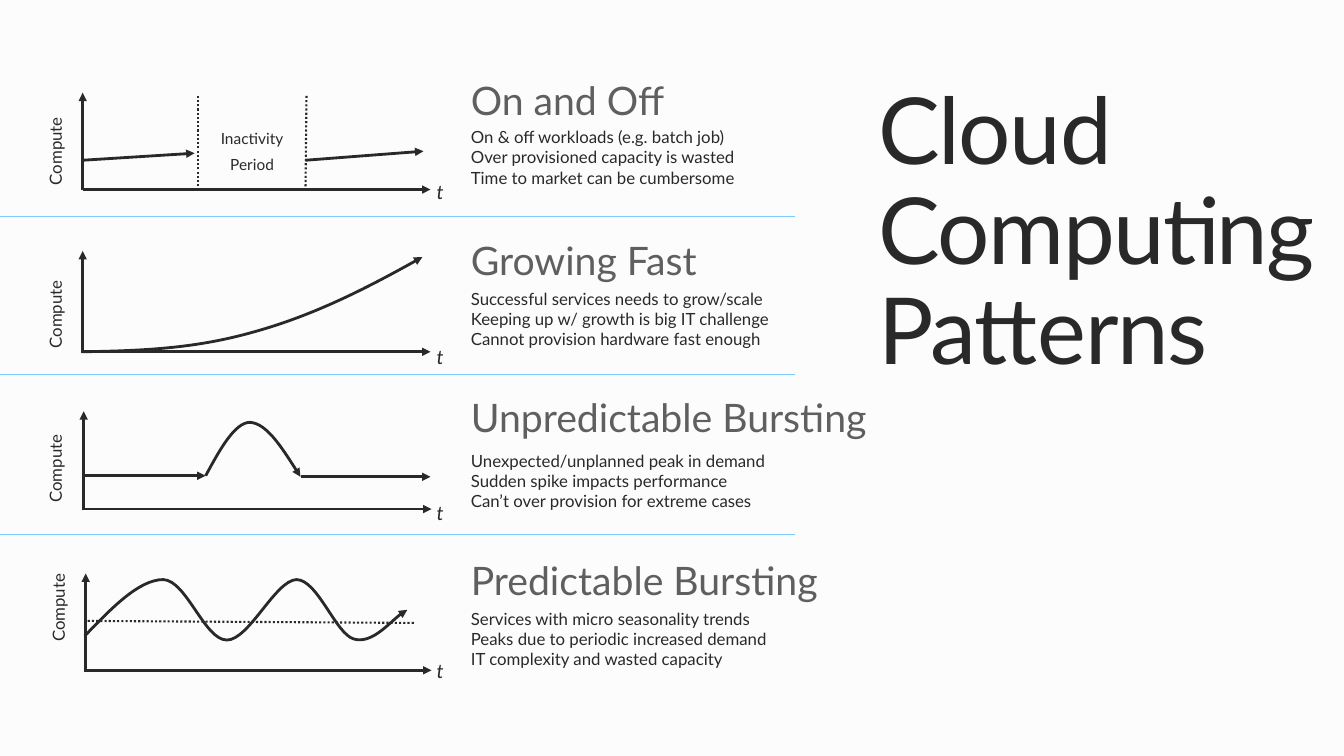
import dataclasses

import pptx
import pptx.dml.color
import pptx.enum.dml
import pptx.enum.shapes
import pptx.enum.text
import pptx.oxml
import pptx.oxml.ns
import pptx.util

Inches = pptx.util.Inches
Pt = pptx.util.Pt
qn = pptx.oxml.ns.qn
ALIGN = pptx.enum.text.PP_ALIGN
DOTTED = pptx.enum.dml.MSO_LINE.ROUND_DOT


@dataclasses.dataclass(frozen=True)
class Theme:
    font: str = "Lato"
    background: str = "FCFCFC"
    ink: str = "292929"
    heading: str = "5F5F5F"
    divider: str = "7ECCFF"
    title_size: int = 66
    heading_size: int = 28
    axis_size: int = 14
    body_size: int = 12
    note_size: int = 11
    line_width: float = 2
    dotted_width: float = 1.5
    divider_width: float = 0.75


@dataclasses.dataclass(frozen=True)
class Pattern:
    """One workload pattern: its wording and the places of its parts."""
    heading: str
    lines: tuple
    heading_top: float
    lines_top: float
    axis_x: float
    axis_start: float
    axis_top: float
    baseline: float
    time_top: float
    compute_center: tuple


PATTERNS = [
    Pattern("On and Off",
            ("On & off workloads (e.g. batch job)",
             "Over provisioned capacity is wasted",
             "Time to market can be cumbersome"),
            0.76, 1.26, 0.82, 0.82, 0.92, 1.88, 1.78, (0.58, 1.5)),
    Pattern("Growing Fast",
            ("Successful services needs to grow/scale",
             "Keeping up w/ growth is big IT challenge",
             "Cannot provision hardware fast enough"),
            2.35, 2.86, 0.82, 0.82, 2.49, 3.49, 3.42, (0.58, 3.12)),
    Pattern("Unpredictable Bursting",
            ("Unexpected/unplanned peak in demand",
             "Sudden spike impacts performance",
             "Can’t over provision for extreme cases"),
            3.91, 4.47, 0.83, 0.83, 4.08, 5.05, 4.97, (0.58, 4.65)),
    Pattern("Predictable Bursting",
            ("Services with micro seasonality trends",
             "Peaks due to periodic increased demand",
             "IT complexity and wasted capacity"),
            5.52, 6.04, 0.85, 0.83, 5.69, 6.65, 6.54, (0.61, 6.03)),
]

TREND_ARROWS = [
    ((0.82, 1.59), (1.93, 1.52)),
    ((3.03, 1.59), (4.2, 1.5)),
    ((0.82, 4.72), (2.04, 4.72)),
    ((2.99, 4.73), (4.27, 4.73)),
]
DOTTED_LINES = [
    ((1.96, 1.89), (1.96, 0.95)),
    ((3.03, 1.89), (3.04, 0.95)),
    ((0.87, 6.16), (4.11, 6.18)),
]
# Each curve: its start, then two control points and an end per segment.
CURVES = [
    [(0.81, 3.49), (1.48, 3.48), (1.97, 3.45), (2.53, 3.29),
     (3.1, 3.13), (3.64, 2.86), (4.19, 2.55)],
    [(2.04, 4.72), (2.18, 4.46), (2.33, 4.19), (2.48, 4.19),
     (2.64, 4.2), (2.81, 4.46), (2.98, 4.73)],
    [(0.84, 6.31), (1.11, 6.03), (1.38, 5.75), (1.62, 5.75),
     (1.85, 5.76), (2.03, 6.35), (2.25, 6.35),
     (2.47, 6.35), (2.73, 5.76), (2.94, 5.75),
     (3.15, 5.75), (3.33, 6.29), (3.51, 6.34),
     (3.69, 6.39), (3.93, 6.1), (4.04, 6.05)],
]


def assign(target, values):
    for name, value in values.items():
        setattr(target, name, value)


class SlideBuilder:
    def __init__(self, slide, theme):
        self.slide = slide
        self.theme = theme
        fill = slide.background.fill
        fill.solid()
        fill.fore_color.rgb = self.color(theme.background)

    def color(self, value):
        return pptx.dml.color.RGBColor.from_string(value)

    def fill_text(self, frame, lines, size, color, margins=(0, 0), italic=None,
                  **paragraph_format):
        """Fill a text frame; margins are horizontal and vertical inches."""
        side, edge = map(Inches, margins)
        assign(frame, {
            "word_wrap": True,
            "auto_size": pptx.enum.text.MSO_AUTO_SIZE.NONE,
            "vertical_anchor": pptx.enum.text.MSO_ANCHOR.TOP,
            "margin_left": side, "margin_right": side,
            "margin_top": edge, "margin_bottom": edge,
        })
        for index, line in enumerate(lines):
            paragraph = frame.add_paragraph() if index else frame.paragraphs[0]
            assign(paragraph, {"alignment": ALIGN.LEFT, **paragraph_format})
            run = paragraph.add_run()
            run.text = line
            assign(run.font, {"name": self.theme.font, "size": Pt(size), "italic": italic})
            run.font.color.rgb = self.color(color)

    def title(self, text, box):
        shape = self.slide.shapes.title
        assign(shape, dict(zip(("left", "top", "width", "height"), map(Inches, box))))
        self.fill_text(shape.text_frame, [text], self.theme.title_size, self.theme.ink,
                       line_spacing=0.9)
        for properties in shape.element.iter(qn("a:rPr")):
            properties.set("spc", "-100")

    def text(self, lines, box, size, color=None, rotation=0, **text_format):
        shape = self.slide.shapes.add_textbox(*map(Inches, box))
        shape.rotation = rotation
        self.fill_text(shape.text_frame, lines, size, color or self.theme.ink, **text_format)

    def stroke(self, shape, color, width, dash=None, arrow=False):
        shape.line.color.rgb = self.color(color)
        assign(shape.line, {"width": Pt(width), "dash_style": dash})
        if arrow:
            outline = shape.element.spPr.find(qn("a:ln"))
            outline.append(pptx.oxml.parse_xml(
                f'<a:tailEnd {pptx.oxml.ns.nsdecls("a")} type="triangle"/>'))

    def line(self, start, end, color=None, width=None, **stroke_format):
        connector = self.slide.shapes.add_connector(
            pptx.enum.shapes.MSO_CONNECTOR.STRAIGHT, *map(Inches, start + end))
        self.stroke(connector, color or self.theme.ink,
                    width or self.theme.line_width, **stroke_format)
        connector.element.spPr.append(pptx.oxml.parse_xml(
            f'<a:effectLst {pptx.oxml.ns.nsdecls("a")}/>'))

    def curve(self, points):
        """Draw a Bézier arrow by joining every three freeform points."""
        start, *rest = [tuple(map(Inches, point)) for point in points]
        builder = self.slide.shapes.build_freeform(*start)
        builder.add_line_segments(rest, close=False)
        shape = builder.convert_to_shape()
        segments = list(shape.element.iter(qn("a:lnTo")))
        for index in range(0, len(segments), 3):
            bezier = pptx.oxml.parse_xml(f'<a:cubicBezTo {pptx.oxml.ns.nsdecls("a")}/>')
            segments[index].addprevious(bezier)
            for segment in segments[index:index + 3]:
                bezier.append(segment[0])
                segment.getparent().remove(segment)
        shape.fill.background()
        shape.shadow.inherit = False
        self.stroke(shape, self.theme.ink, self.theme.line_width, arrow=True)

    def pattern(self, pattern):
        theme = self.theme
        self.line((pattern.axis_x, pattern.baseline + 0.01),
                  (pattern.axis_x, pattern.axis_top), arrow=True)
        self.line((pattern.axis_start, pattern.baseline),
                  (pattern.axis_start + 3.45, pattern.baseline), arrow=True)
        self.text(["t"], (4.33, pattern.time_top, 1.25, 0.15), theme.axis_size, italic=True)
        center_x, center_y = pattern.compute_center
        self.text(["Compute"], (center_x - 0.56, center_y - 0.13, 1.12, 0.26),
                  theme.body_size, rotation=270, margins=(0.1, 0.05),
                  alignment=ALIGN.CENTER, line_spacing=Pt(10.7))
        self.text([pattern.heading], (4.67, pattern.heading_top, 4.3, 0.53),
                  theme.heading_size, theme.heading, margins=(0, 0.05), line_spacing=0.9)
        self.text(pattern.lines, (4.67, pattern.lines_top, 3.95, 0.61), theme.body_size)


def main():
    presentation = pptx.Presentation()
    assign(presentation, {"slide_width": Inches(13.33), "slide_height": Inches(7.5)})
    theme = Theme()
    builder = SlideBuilder(presentation.slides.add_slide(presentation.slide_layouts[5]), theme)
    builder.title("Cloud Computing Patterns", (8.71, 0.84, 4.62, 3))
    for pattern in PATTERNS:
        builder.pattern(pattern)
    for start, end in TREND_ARROWS:
        builder.line(start, end, arrow=True)
    for start, end in DOTTED_LINES:
        builder.line(start, end, width=theme.dotted_width, dash=DOTTED)
    for points in CURVES:
        builder.curve(points)
    builder.text(["Inactivity", "Period"], (1.89, 1.27, 1.22, 0.53), theme.note_size,
                 margins=(0.1, 0.05), alignment=ALIGN.CENTER,
                 line_spacing=Pt(10.7), space_after=Pt(8))
    for height in (2.15, 3.72, 5.3):
        builder.line((0, height), (7.89, height), theme.divider, theme.divider_width)
    presentation.save("out.pptx")


if __name__ == "__main__":
    main()
